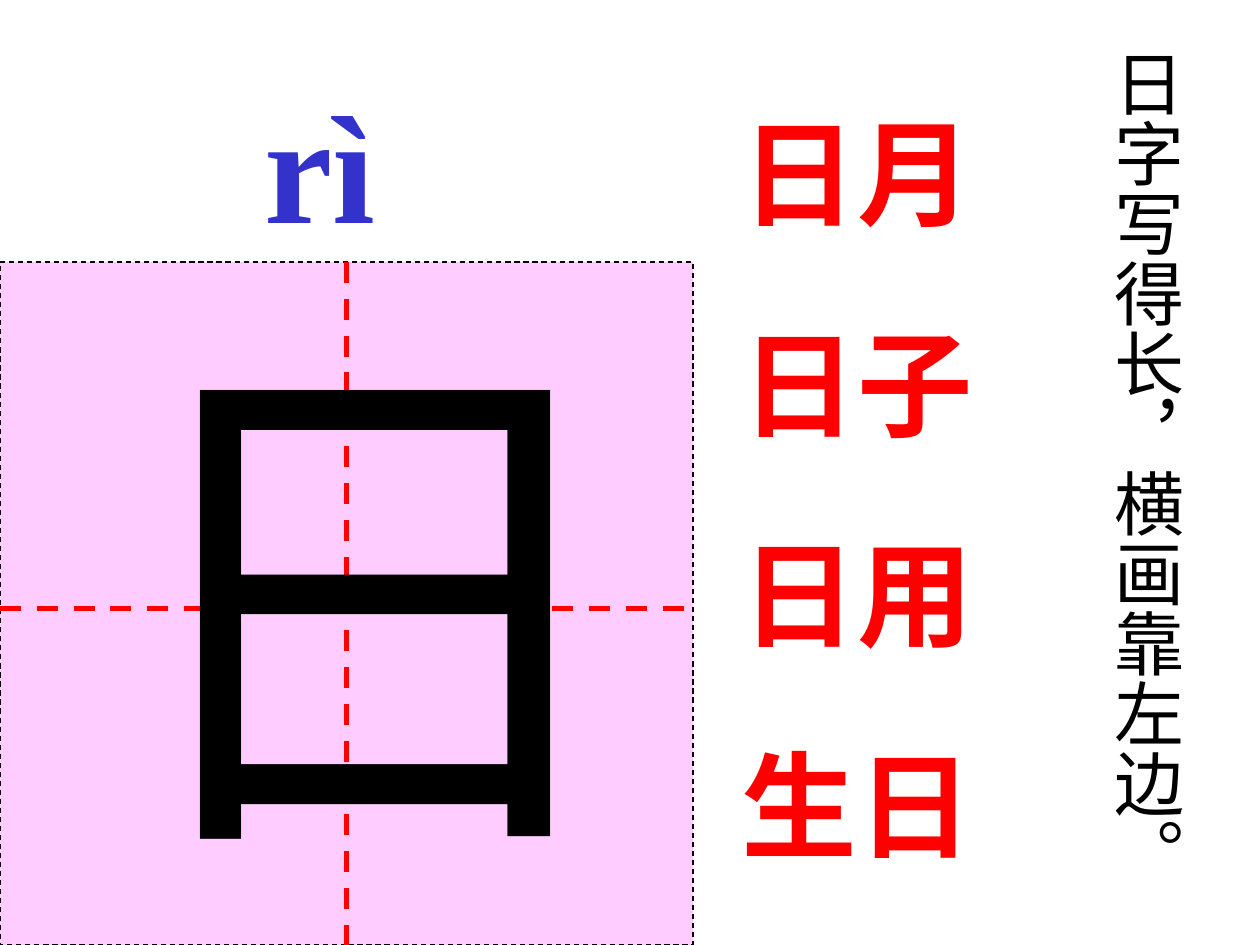
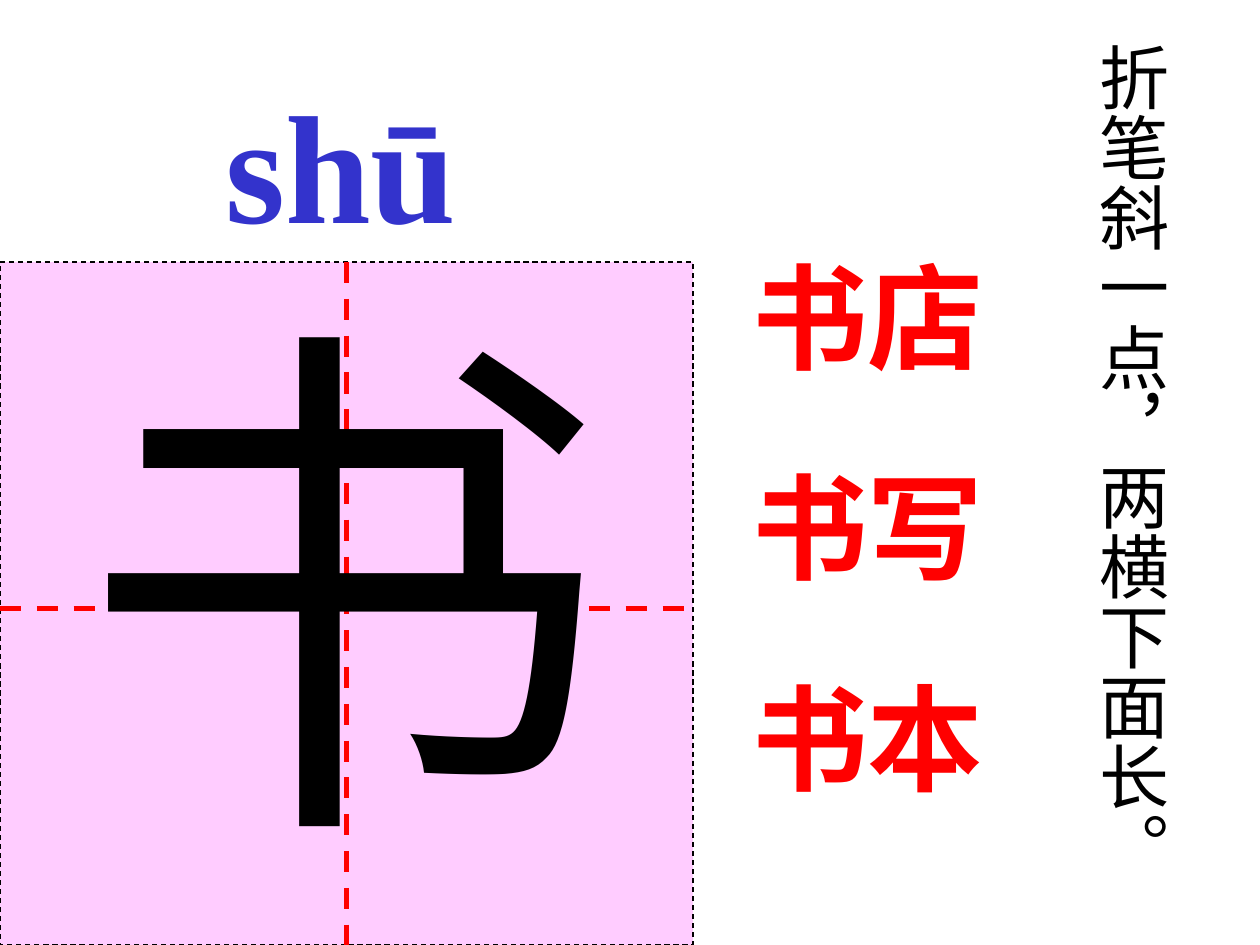
from dataclasses import dataclass

from lxml import etree
from pptx import Presentation
from pptx.dml.color import RGBColor
from pptx.enum import dml, shapes, text
from pptx.oxml import ns
from pptx.util import Inches, Pt

FONT = "Times New Roman"
BLACK = RGBColor(0x00, 0x00, 0x00)
RED = RGBColor(0xFF, 0x00, 0x00)
BLUE = RGBColor(0x33, 0x33, 0xCC)
PINK = RGBColor(0xFF, 0xCC, 0xFF)
WHITE = RGBColor(0xFF, 0xFF, 0xFF)

GRID_TOP, GRID_WIDTH, GRID_HEIGHT = 2.08, 5.5, 5.42
GRID_MIDDLE = 4.83


@dataclass(frozen=True)
class Style:
    size: float
    color: RGBColor
    bold: bool = False
    gap: float = 0
    vertical: bool = False


@dataclass(frozen=True)
class Area:
    left: float
    top: float
    width: float
    height: float


@dataclass(frozen=True)
class Lesson:
    character: str
    character_area: Area
    pinyin: str
    pinyin_indent: float
    words: tuple[str, ...]
    words_area: Area
    rhyme: str
    rhyme_area: Area


CHARACTER = Style(305, BLACK)
PINYIN = Style(88, BLUE, bold=True)
WORDS = Style(66, RED, bold=True, gap=41.2)
RHYME = Style(40, BLACK, vertical=True)
PINYIN_AREA = Area(1.08, 0.5, 4.83, 1.57)

LESSONS = (
    Lesson("日", Area(0.75, 2.08, 4.83, 5.19), "rì", 0.92,
           ("日月", "日子", "日用", "生日"), Area(5.79, 0.76, 2.92, 6.22),
           "日字写得长，横画靠左边。", Area(8.63, 0.29, 0.86, 6.76)),
    Lesson("书", Area(0.51, 1.94, 4.83, 5.19), "shū", 0.61,
           ("书店", "书写", "书本"), Area(5.87, 1.9, 2.92, 4.55),
           "折笔斜一点，两横下面长。", Area(8.51, 0.24, 0.86, 6.76)),
)


def style_dashes(line, color: RGBColor, width: float) -> None:
    line.color.rgb = color
    line.width = Pt(width)
    line.dash_style = dml.MSO_LINE.DASH


def add_guide(group, x1: float, y1: float, x2: float, y2: float):
    guide = group.shapes.add_connector(
        shapes.MSO_CONNECTOR.STRAIGHT, Inches(x1), Inches(y1), Inches(x2), Inches(y2))
    style_dashes(guide.line, RED, 3)
    etree.SubElement(guide._element.spPr, ns.qn("a:effectLst"))
    return guide


def add_writing_grid(page) -> None:
    group = page.shapes.add_group_shape()
    square = group.shapes.add_shape(
        shapes.MSO_SHAPE.RECTANGLE, Inches(0), Inches(GRID_TOP),
        Inches(GRID_WIDTH), Inches(GRID_HEIGHT))
    square.shadow.inherit = False
    square.fill.solid()
    square.fill.fore_color.rgb = PINK
    style_dashes(square.line, BLACK, 0.75)
    add_guide(group, 0, GRID_MIDDLE, GRID_WIDTH, GRID_MIDDLE)
    center = GRID_WIDTH / 2
    upright = add_guide(group, center, GRID_TOP, center, GRID_TOP + GRID_HEIGHT)
    upright.begin_connect(square, 0)
    upright.end_connect(square, 2)


def add_text(page, area: Area, lines: tuple[str, ...], style: Style,
             indent: float = 0) -> None:
    box = page.shapes.add_textbox(
        Inches(area.left), Inches(area.top), Inches(area.width), Inches(area.height))
    frame = box.text_frame
    frame.word_wrap = not style.vertical
    frame.auto_size = text.MSO_AUTO_SIZE.SHAPE_TO_FIT_TEXT
    if style.vertical:
        frame._txBody.bodyPr.set("vert", "eaVert")
        frame.margin_left = frame.margin_right = Inches(0.05)
        frame.margin_top = frame.margin_bottom = Inches(0.1)
    for index, line in enumerate(lines):
        paragraph = frame.add_paragraph() if index else frame.paragraphs[0]
        paragraph.text = line
        if index:
            paragraph.space_before = Pt(style.gap)
        if indent:
            paragraph._p.get_or_add_pPr().set("marL", str(Inches(indent)))
        font = paragraph.font
        font.name = FONT
        font.size = Pt(style.size)
        font.bold = style.bold
        font.color.rgb = style.color


def add_lesson(deck, lesson: Lesson) -> None:
    page = deck.slides.add_slide(deck.slide_layouts[6])
    page.background.fill.solid()
    page.background.fill.fore_color.rgb = WHITE
    add_writing_grid(page)
    add_text(page, lesson.character_area, (lesson.character,), CHARACTER)
    add_text(page, PINYIN_AREA, (lesson.pinyin,), PINYIN, lesson.pinyin_indent)
    add_text(page, lesson.words_area, lesson.words, WORDS)
    add_text(page, lesson.rhyme_area, (lesson.rhyme,), RHYME)


def main() -> None:
    deck = Presentation()
    deck.slide_width = Inches(10)
    deck.slide_height = Inches(7.5)
    for lesson in LESSONS:
        add_lesson(deck, lesson)
    deck.save("out.pptx")


if __name__ == "__main__":
    main()
